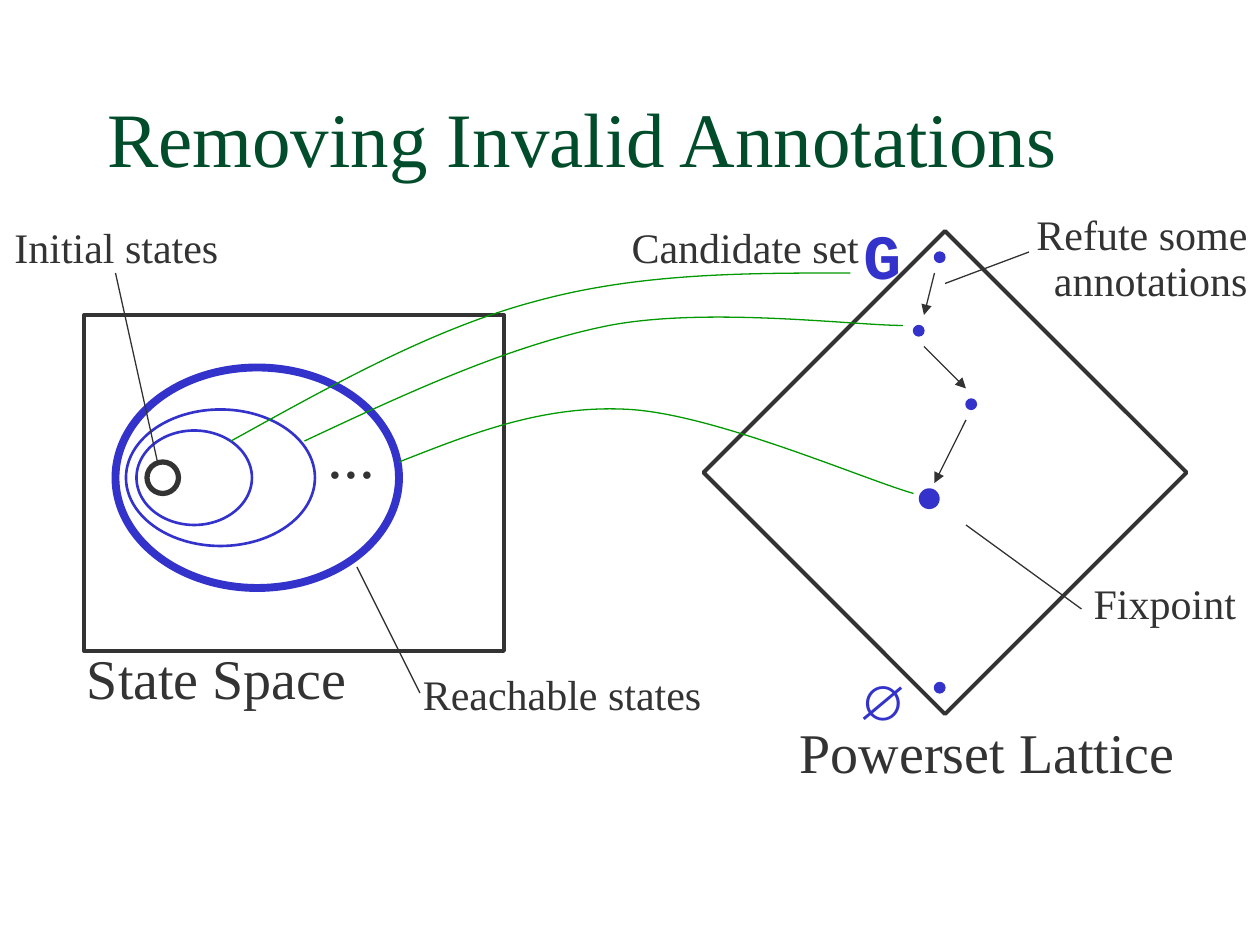
"""Build the slide on removing invalid annotations."""
from lxml.etree import SubElement
from pptx import Presentation
from pptx.dml.color import RGBColor
from pptx.enum.shapes import MSO_CONNECTOR, MSO_SHAPE
from pptx.enum.text import MSO_ANCHOR, MSO_AUTO_SIZE, PP_ALIGN
from pptx.oxml.ns import qn
from pptx.util import Inches, Pt

OVAL, DIAMOND, RECTANGLE = MSO_SHAPE.OVAL, MSO_SHAPE.DIAMOND, MSO_SHAPE.RECTANGLE
STRAIGHT, BOTTOM = MSO_CONNECTOR.STRAIGHT, MSO_ANCHOR.BOTTOM
NO_FIT, GROW = MSO_AUTO_SIZE.NONE, MSO_AUTO_SIZE.SHAPE_TO_FIT_TEXT
LEFT, RIGHT = PP_ALIGN.LEFT, PP_ALIGN.RIGHT

THEME = {
    "title": RGBColor(0x00, 0x4C, 0x2B),
    "ink": RGBColor(0x33, 0x33, 0x33),
    "blue": RGBColor(0x33, 0x33, 0xCC),
    "green": RGBColor(0x00, 0x99, 0x00),
    "serif": "Times New Roman",
    "sans": "Arial",
    "mono": "Courier New",
    "title size": Pt(44),
    "symbol size": Pt(36),
    "caption size": Pt(32),
    "empty set size": Pt(28),
    "label size": Pt(24),
    "label gap": Pt(15),
    "thin": Pt(0.75),
}

presentation = Presentation()
presentation.slide_width, presentation.slide_height = Inches(10), Inches(7.5)
COLUMN = presentation.slide_width / 120
ROW = presentation.slide_height / 90
slide = presentation.slides.add_slide(presentation.slide_layouts[5])


def place(left, top, width, height):
    return round(left * COLUMN), round(top * ROW), round(width * COLUMN), round(height * ROW)


def add_run(paragraph, text, size, color, font="serif", bold=False):
    run = paragraph.add_run()
    run.text = text
    run.font.size, run.font.name, run.font.bold = THEME[size], THEME[font], bold
    run.font.color.rgb = THEME[color]


title = slide.shapes.title
title.left, title.top, title.width, title.height = place(9, 3, 102, 15)
title.text_frame.auto_size = NO_FIT
title.text_frame.vertical_anchor = BOTTOM
title.text_frame.paragraphs[0].alignment = LEFT
add_run(title.text_frame.paragraphs[0], "Removing Invalid Annotations", "title size", "title")

outlines = [
    (RECTANGLE, (8, 30, 40, 32), "ink", 2.25),
    (DIAMOND, (67, 22, 46, 46), "ink", 2.25),
    (OVAL, (14, 44, 3, 3), "ink", 3),
    (OVAL, (13, 41, 11, 9), "blue", 1.5),
    (OVAL, (12, 39, 18, 13), "blue", 1.5),
    (OVAL, (11, 35, 27, 21), "blue", 4.5),
]
for kind, box, color, weight in outlines:
    shape = slide.shapes.add_shape(kind, *place(*box))
    shape.shadow.inherit = False
    shape.fill.background()
    shape.line.color.rgb, shape.line.width = THEME[color], Pt(weight)

lattice_points = [(89, 24, 0.75), (87, 31, 0.75), (92, 38, 0.75), (89, 65, 0.75), (88, 47, 6)]
for left, top, weight in lattice_points:
    dot = slide.shapes.add_shape(OVAL, *place(left, top, 1, 1))
    dot.shadow.inherit = False
    dot.fill.solid()
    dot.fill.fore_color.rgb = dot.line.color.rgb = THEME["blue"]
    dot.line.width = Pt(weight)

curves = [
    [(22, 42), (31.6, 36.7), (41.2, 31.3), (51, 28.7), (60.8, 26), (70.9, 26), (81, 26)],
    [(29, 42), (38.8, 37.4), (48.5, 32.9), (58, 31), (67.4, 29.2), (81.4, 31), (86, 31)],
    [(38, 44), (44.9, 41.3), (51.8, 38.5), (60, 39), (68.2, 39.5), (82.4, 45.7), (87, 47)],
]
for controls in curves:
    start, *others = [(round(x * COLUMN), round(y * ROW)) for x, y in controls]
    builder = slide.shapes.build_freeform(*start)
    builder.add_line_segments(others, close=False)
    curve = builder.convert_to_shape()
    curve.shadow.inherit = False
    curve.fill.background()
    curve.line.color.rgb, curve.line.width = THEME["green"], THEME["thin"]
    outline = curve._element.find(".//" + qn("a:path"))
    segments = outline.findall(qn("a:lnTo"))
    for first in range(0, len(segments), 3):
        bezier = SubElement(outline, qn("a:cubicBezTo"))
        for segment in segments[first:first + 3]:
            bezier.append(segment[0])
            outline.remove(segment)

lines = [
    ((15, 44), (11, 26), False),
    ((89, 26), (88, 30), True),
    ((88, 33), (92, 37), True),
    ((92, 40), (89, 46), True),
    ((90, 27), (98, 24), False),
    ((92, 50), (103, 58), False),
    ((34, 54), (40, 66), False),
]
for start, end, has_arrow in lines:
    connector = slide.shapes.add_connector(STRAIGHT, *place(*start, *end))
    connector.line.color.rgb, connector.line.width = THEME["ink"], THEME["thin"]
    SubElement(connector._element.spPr, qn("a:effectLst"))
    if has_arrow:
        SubElement(connector.line._get_or_add_ln(), qn("a:tailEnd"), type="triangle")

caption = ("caption size", "ink")
label = ("label size", "ink")
texts = [
    ((7.1, 60.7, 27.6, 7.7), ["State Space"], LEFT, 1, caption),
    ((75, 67.7, 38.6, 7.7), ["Powerset Lattice"], LEFT, 1, caption),
    ((-0.2, 20.5, 22.2, 6), ["Initial states"], RIGHT, 1, label),
    ((29.5, 39, 7.4, 8.4), ["..."], RIGHT, 1, ("symbol size", "ink")),
    ((80.7, 20, 6.3, 8.4), ["G"], RIGHT, 1, ("symbol size", "blue", "mono", True)),
    ((80.6, 63.4, 6.4, 6.8), ["∅"], RIGHT, 1, ("empty set size", "blue", "sans", True)),
    ((97, 21.7, 23, 7.6), ["Refute some", "annotations"], RIGHT, 0.4, label),
    ((102.5, 56.9, 16.4, 3.1), ["Fixpoint"], RIGHT, 0.4, label),
    ((38.5, 65.5, 29.5, 3.1), ["Reachable states"], RIGHT, 0.4, label),
    ((58.4, 23, 24.6, 3.1), ["Candidate set"], RIGHT, 0.4, label),
]
for box, rows, alignment, spacing, style in texts:
    frame = slide.shapes.add_textbox(*place(*box)).text_frame
    frame.word_wrap = False
    frame.auto_size = GROW
    for index, text in enumerate(rows):
        paragraph = frame.add_paragraph() if index else frame.paragraphs[0]
        paragraph.alignment, paragraph.line_spacing = alignment, spacing
        if index:
            paragraph.space_before = THEME["label gap"]
        add_run(paragraph, text, *style)

presentation.save("out.pptx")
